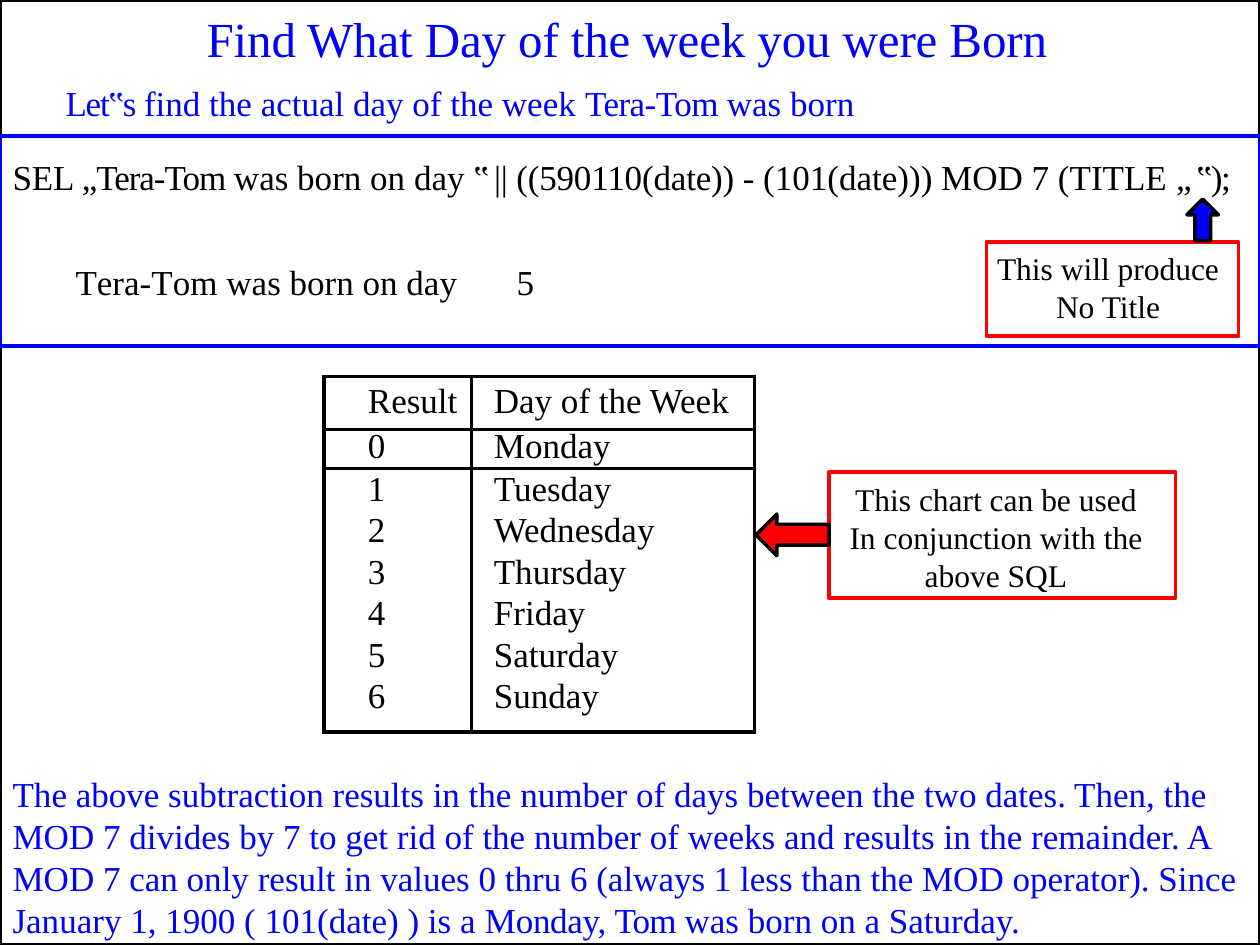
from pptx import Presentation
from pptx.dml.color import RGBColor
from pptx.enum.shapes import MSO_SHAPE
from pptx.enum.text import MSO_ANCHOR, MSO_AUTO_SIZE, PP_ALIGN
from pptx.oxml.ns import qn
from pptx.util import Inches, Pt
from lxml.etree import SubElement

BLACK = RGBColor(0x00, 0x00, 0x00)
BLUE = RGBColor(0x00, 0x00, 0xFF)
RED = RGBColor(0xFF, 0x00, 0x00)
FONT = "Times New Roman"
DAYS = ["Monday", "Tuesday", "Wednesday", "Thursday", "Friday", "Saturday", "Sunday"]


def set_attrs(obj, **values):
    """Set every given attribute on an object."""
    for name, value in values.items():
        setattr(obj, name, value)


def place(shape, left, top, width, height):
    """Move and size a shape, in inches."""
    set_attrs(shape, left=Inches(left), top=Inches(top),
              width=Inches(width), height=Inches(height))


def setup_frame(tf, top=0.04):
    """Give a text frame tight margins and top anchoring."""
    set_attrs(tf, word_wrap=True, auto_size=MSO_AUTO_SIZE.NONE,
              vertical_anchor=MSO_ANCHOR.TOP, margin_left=0, margin_right=0,
              margin_top=Inches(top), margin_bottom=0)


def write(p, runs, size=20, color=BLACK, left=0.01, right=0, tab=None, **layout):
    """Fill a paragraph from (text, letter spacing in points) pairs."""
    pPr = p._p.get_or_add_pPr()
    for name, value in {"marL": left, "marR": right, "indent": 0}.items():
        pPr.set(name, str(Inches(value)))
    SubElement(pPr, qn("a:buNone"))
    if tab:
        tabs = SubElement(pPr, qn("a:tabLst"))
        SubElement(tabs, qn("a:tab"), pos=str(Inches(tab)), algn="l")
    set_attrs(p, **{"alignment": PP_ALIGN.LEFT, "space_before": Pt(0), **layout})
    for text, spacing in runs:
        r = p.add_run()
        r.text = text
        set_attrs(r.font, name=FONT, size=Pt(size))
        r.font.color.rgb = color
        if spacing:
            r._r.get_or_add_rPr().set("spc", str(round(spacing * 100)))


def add_text(s, box, runs, **layout):
    """Add a one-paragraph text box."""
    tb = s.shapes.add_textbox(*map(Inches, box))
    setup_frame(tb.text_frame)
    write(tb.text_frame.paragraphs[0], runs, **layout)


def add_block(s, kind, box, line, width, fill=None):
    """Add a preset shape with an outline and an optional fill."""
    sp = s.shapes.add_shape(kind, *map(Inches, box))
    sp.shadow.inherit = False
    if fill is None:
        sp.fill.background()
    else:
        sp.fill.solid()
        sp.fill.fore_color.rgb = fill
    sp.line.color.rgb = line
    sp.line.width = Pt(width)
    return sp


def add_callout(s, box, lines, right):
    """Add a red-outlined box of centred lines."""
    tf = add_block(s, MSO_SHAPE.RECTANGLE, box, RED, 2.25).text_frame
    setup_frame(tf, 0.06)
    for i, line in enumerate(lines):
        p = tf.add_paragraph() if i else tf.paragraphs[0]
        write(p, [(line, 0)], size=18, left=0, right=right, alignment=PP_ALIGN.CENTER)


def set_borders(cell, visible):
    """Draw the named cell sides in black and hide the others."""
    tcPr = cell._tc.get_or_add_tcPr()
    for side in "LRTB":
        ln = SubElement(tcPr, qn(f"a:ln{side}"), w=str(Pt(2.25)))
        if side in visible:
            fill = SubElement(ln, qn("a:solidFill"))
            SubElement(fill, qn("a:srgbClr"), val=str(BLACK))
        else:
            SubElement(ln, qn("a:noFill"))


def add_day_table(s):
    """Add the table of results and days of the week."""
    rows = [("Result", "Day of the Week"), *((str(i), d) for i, d in enumerate(DAYS))]
    heights = [0.42, 0.31] + [0.33] * 5 + [0.44]
    table = s.shapes.add_table(len(rows), 2, Inches(2.57), Inches(2.99),
                               Inches(3.42), Inches(sum(heights))).table
    set_attrs(table, first_row=False, horz_banding=False)
    for col, width in zip(table.columns, (1.17, 2.25)):
        col.width = Inches(width)
    for i, (row, height) in enumerate(zip(rows, heights)):
        table.rows[i].height = Inches(height)
        sides = "LR" + ("T" if i <= 2 else "") + ("B" if i in (0, 1, len(DAYS)) else "")
        spacing = {0: {}, 1: {"line_spacing": Pt(20.9)}}.get(i, {"line_spacing": Pt(22.8)})
        for j, text in enumerate(row):
            cell = table.cell(i, j)
            set_attrs(cell, margin_left=0, margin_right=0, margin_bottom=0,
                      margin_top=0 if i else Inches(0.04))
            set_borders(cell, sides)
            cell.fill.background()
            write(cell.text_frame.paragraphs[0], [(text, 0)],
                  left=(0.35, 0.18)[j], **spacing)


def main():
    """Build the slide and save it."""
    prs = Presentation()
    set_attrs(prs, slide_width=Inches(10), slide_height=Inches(7.5))
    s = prs.slides.add_slide(prs.slide_layouts[1])
    title, body = s.placeholders

    add_block(s, MSO_SHAPE.RECTANGLE, (0, 0, 10, 7.5), BLACK, 2)
    add_block(s, MSO_SHAPE.RECTANGLE, (0, 1.08, 10, 1.67), BLUE, 2.25)

    place(title, 1.63, 0.03, 6.8, 0.49)
    setup_frame(title.text_frame)
    write(title.text_frame.paragraphs[0],
          [("Find What Day of the week you were Born", -0.05)], size=28, color=BLUE)

    place(body, 0.09, 0.61, 9.85, 0.95)
    tf = body.text_frame
    setup_frame(tf)
    write(tf.paragraphs[0],
          [("Let‟s ", -0.7), ("find the actual day of the week ", 0),
           ("Tera-Tom ", -0.3), ("was born", 0)], color=BLUE, left=0.43)
    write(tf.add_paragraph(),
          [("SEL ", -0.1), ("„Tera-Tom ", -0.6), ("was born on day ", 0), ("‟ ", -2.2),
           ("|| ((590110(date)) ", -0.1), ("- (101(date))) MOD 7 (TITLE ", 0),
           ("„ ", -2.2), ("‟);", -0.8)], space_before=Pt(18))

    add_text(s, (0.59, 2.03, 4.2, 0.36),
             [("T", -1.4), ("era-", 0), ("T", -1.4), ("om was born on day\t5", 0)], tab=3.76)
    add_callout(s, (7.83, 1.92, 2, 0.75), ["This will produce", "No Title"], 0.07)
    add_block(s, MSO_SHAPE.UP_ARROW, (9.42, 1.58, 0.25, 0.33), BLACK, 2, BLUE)

    add_day_table(s)
    add_callout(s, (6.58, 3.75, 2.75, 1),
                ["This chart can be used", "In conjunction with the", "above SQL"], 0.1)
    add_block(s, MSO_SHAPE.LEFT_ARROW, (6, 4.08, 0.58, 0.33), BLACK, 2, RED)

    add_text(s, (0.09, 6.09, 9.79, 1.36),
             [("The above subtraction results in the number of days between the two dates. "
               "Then, the MOD 7 divides by 7 to get rid of the number of weeks and results "
               "in the remainder. A MOD 7 can only result in values 0 thru 6 (always 1 less "
               "than the MOD operator). Since January 1, 1900 ( 101(date) ) is a ", 0),
              ("Monday, ", -0.2), ("Tom ", -0.5), ("was born on a Saturday.", 0)], color=BLUE)
    prs.save("out.pptx")


if __name__ == "__main__":
    main()
